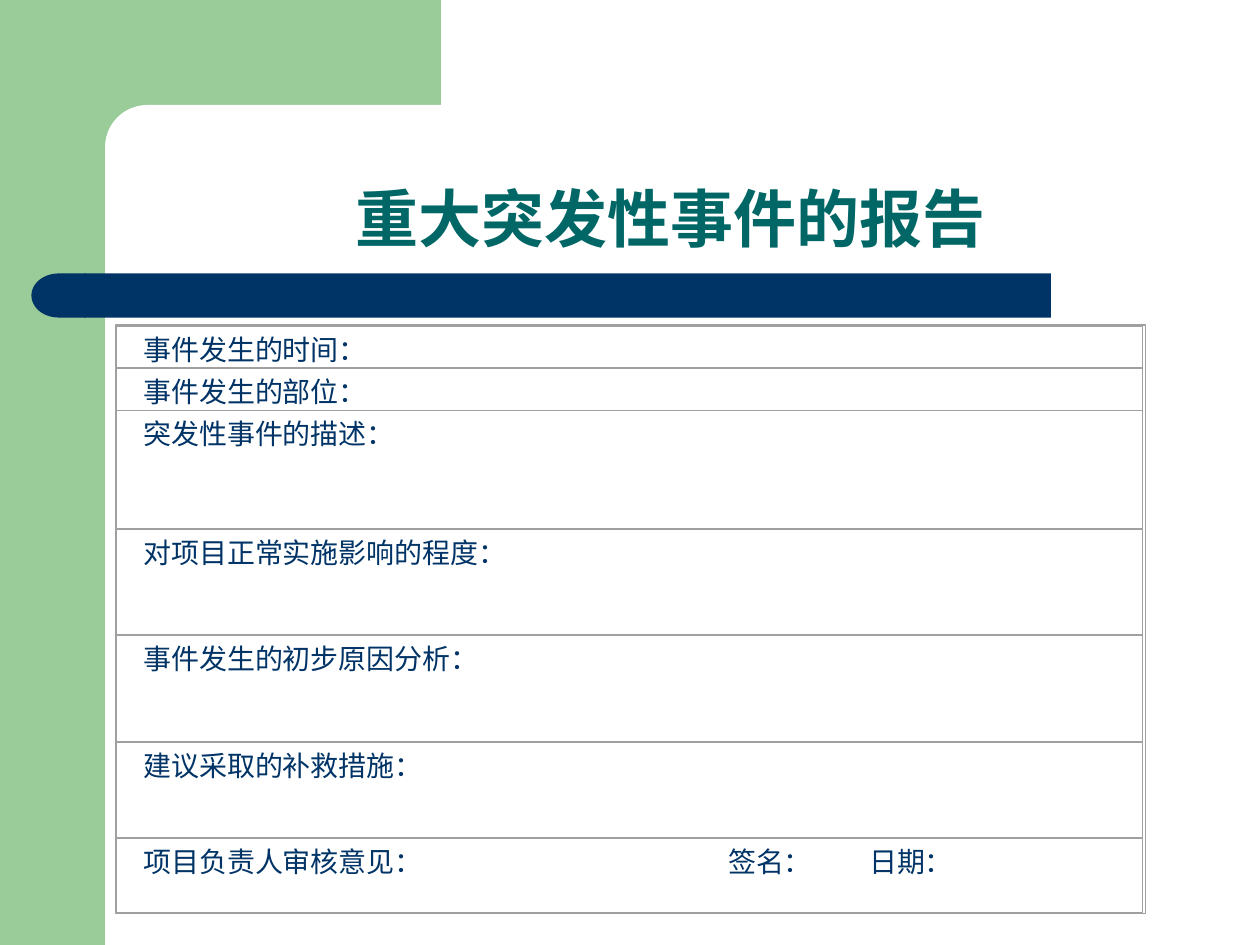
from dataclasses import dataclass
from itertools import accumulate

from pptx import Presentation
from pptx.dml.color import RGBColor
from pptx.enum.shapes import MSO_SHAPE
from pptx.enum.text import MSO_ANCHOR, MSO_AUTO_SIZE, PP_ALIGN
from pptx.oxml.ns import qn
from pptx.util import Inches, Pt
from lxml.etree import SubElement


@dataclass(frozen=True)
class Theme:
    font: str = "Times New Roman"
    green: str = "99CC99"
    white: str = "FFFFFF"
    navy: str = "003366"
    teal: str = "006666"
    grey: str = "A0A0A0"
    title_size: int = 36
    label_size: int = 16


THEME = Theme()
WIDTH, HEIGHT = 10, 7.5

# Form grid: one column, rows of a label and a height
FORM_LEFT, FORM_TOP, FORM_WIDTH = 0.92, 2.59, 8.15
LABEL_INDENT = 0.12
FORM_ROWS = [
    ("事件发生的时间：", 0.33),
    ("事件发生的部位：", 0.34),
    ("突发性事件的描述：", 0.94),
    ("对项目正常实施影响的程度：", 0.84),
    ("事件发生的初步原因分析：", 0.85),
    ("建议采取的补救措施：", 0.76),
    ("项目负责人审核意见：\t签名：\t日期：", 0.59),
]
SIGNATURE_TABS = (4.64, 5.76)


def inches(*lengths):
    return [Inches(length) for length in lengths]


def add_block(slide, preset, box, color, rounding=None):
    """Filled shape without an outline."""
    block = slide.shapes.add_shape(preset, *inches(*box))
    block.shadow.inherit = False
    block.fill.solid()
    block.fill.fore_color.rgb = RGBColor.from_string(color)
    block.line.fill.background()
    if rounding is not None:
        block.adjustments[0] = rounding
    return block


def add_frame(slide, box, weight):
    """Unfilled rectangle with a grey outline."""
    frame = slide.shapes.add_shape(MSO_SHAPE.RECTANGLE, *inches(*box))
    frame.shadow.inherit = False
    frame.fill.background()
    frame.line.color.rgb = RGBColor.from_string(THEME.grey)
    frame.line.width = Pt(weight)


def add_text(paragraph, wording, size, color, bold=False):
    run = paragraph.add_run()
    run.text = wording
    run.font.name = THEME.font
    run.font.size = Pt(size)
    run.font.bold = bold
    run.font.color.rgb = RGBColor.from_string(color)


def set_tabs(paragraph, positions):
    tab_list = SubElement(paragraph._p.get_or_add_pPr(), qn("a:tabLst"))
    for position in positions:
        SubElement(tab_list, qn("a:tab"), pos=str(Inches(position)), algn="l")


def add_backdrop(slide):
    # Green corner with a rounded white cut-out
    add_block(slide, MSO_SHAPE.RECTANGLE, (0, 0, WIDTH / 12, HEIGHT), THEME.green)
    add_block(slide, MSO_SHAPE.RECTANGLE, (0.75, 0, 2.75, 1.17), THEME.green)
    add_block(slide, MSO_SHAPE.ROUNDED_RECTANGLE,
              (WIDTH / 12, WIDTH / 12, 5.58, 0.67), THEME.white, 0.5)
    # Navy rule with a round left end
    add_block(slide, MSO_SHAPE.ROUNDED_RECTANGLE,
              (0.67, 2.17, 7.67, 0.35), THEME.navy, 0)
    rule_end = add_block(slide, MSO_SHAPE.FLOWCHART_DELAY,
                         (0.25, 2.17, 0.43, 0.35), THEME.navy)
    rule_end._element.spPr.xfrm.set("flipH", "1")


def add_title(slide, wording):
    title = slide.shapes.title
    title.left, title.top, title.width, title.height = inches(1, 0.83, 8.75, 1.25)
    slide.shapes._spTree.append(title._element)  # in front of the backdrop
    frame = title.text_frame
    frame.auto_size = MSO_AUTO_SIZE.NONE
    frame.vertical_anchor = MSO_ANCHOR.BOTTOM
    heading = frame.paragraphs[0]
    heading.alignment = PP_ALIGN.CENTER
    heading.line_spacing = 0.9
    add_text(heading, wording, THEME.title_size, THEME.teal, bold=True)


def add_form_row(slide, label, top, height):
    label_box = slide.shapes.add_textbox(*inches(
        FORM_LEFT + LABEL_INDENT, top, FORM_WIDTH - 2 * LABEL_INDENT, height))
    label_box.text_frame.word_wrap = True
    line = label_box.text_frame.paragraphs[0]
    line.alignment = PP_ALIGN.JUSTIFY
    if "\t" in label:
        set_tabs(line, SIGNATURE_TABS)
    add_text(line, label, THEME.label_size, THEME.navy)
    add_frame(slide, (FORM_LEFT, top, FORM_WIDTH, height), 0)


def add_form(slide):
    heights = [height for _, height in FORM_ROWS]
    tops = accumulate(heights, initial=FORM_TOP)
    for (label, height), top in zip(FORM_ROWS, tops):
        add_form_row(slide, label, top, height)
    # Outer border
    add_frame(slide, (FORM_LEFT, FORM_TOP - 0.01, FORM_WIDTH + 0.02,
                      sum(heights) + 0.02), 0.75)


def main():
    deck = Presentation()
    deck.slide_width, deck.slide_height = inches(WIDTH, HEIGHT)
    slide = deck.slides.add_slide(deck.slide_layouts[5])
    add_backdrop(slide)
    add_title(slide, "重大突发性事件的报告 ")
    add_form(slide)
    deck.save("out.pptx")


if __name__ == "__main__":
    main()
